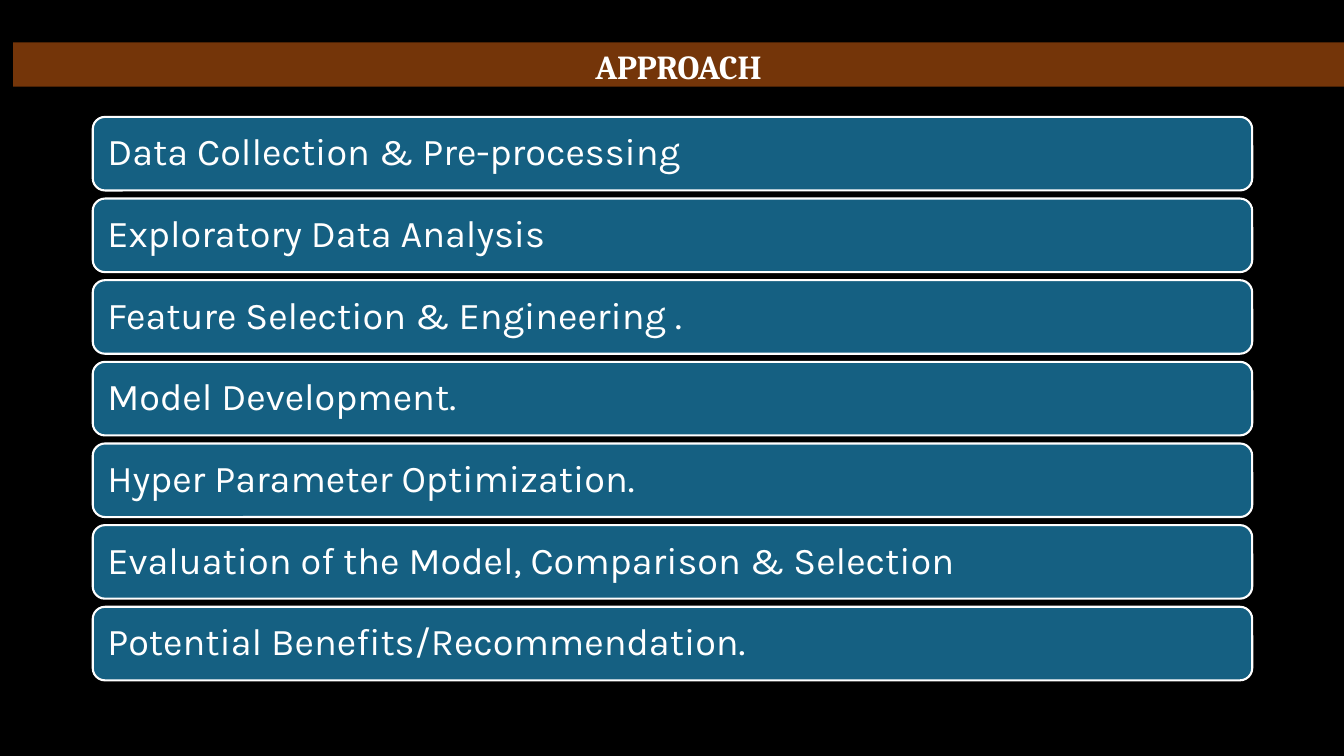
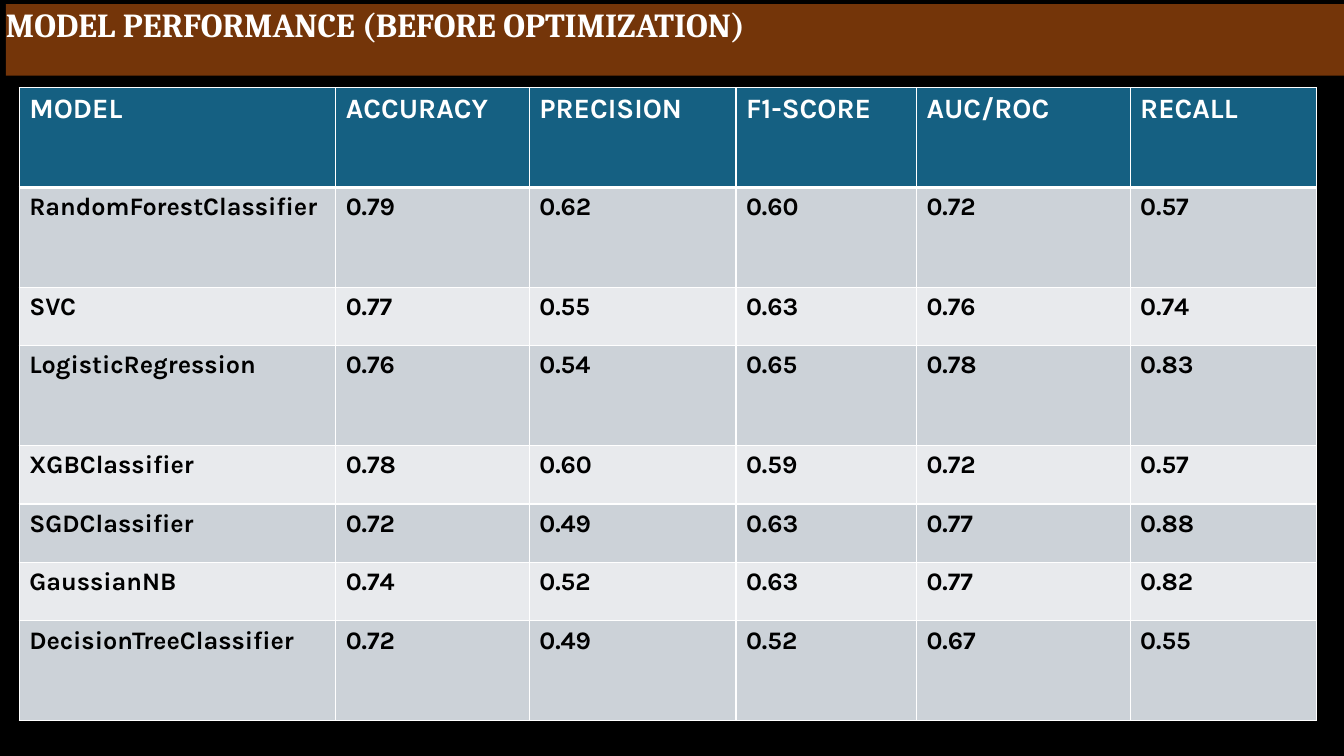
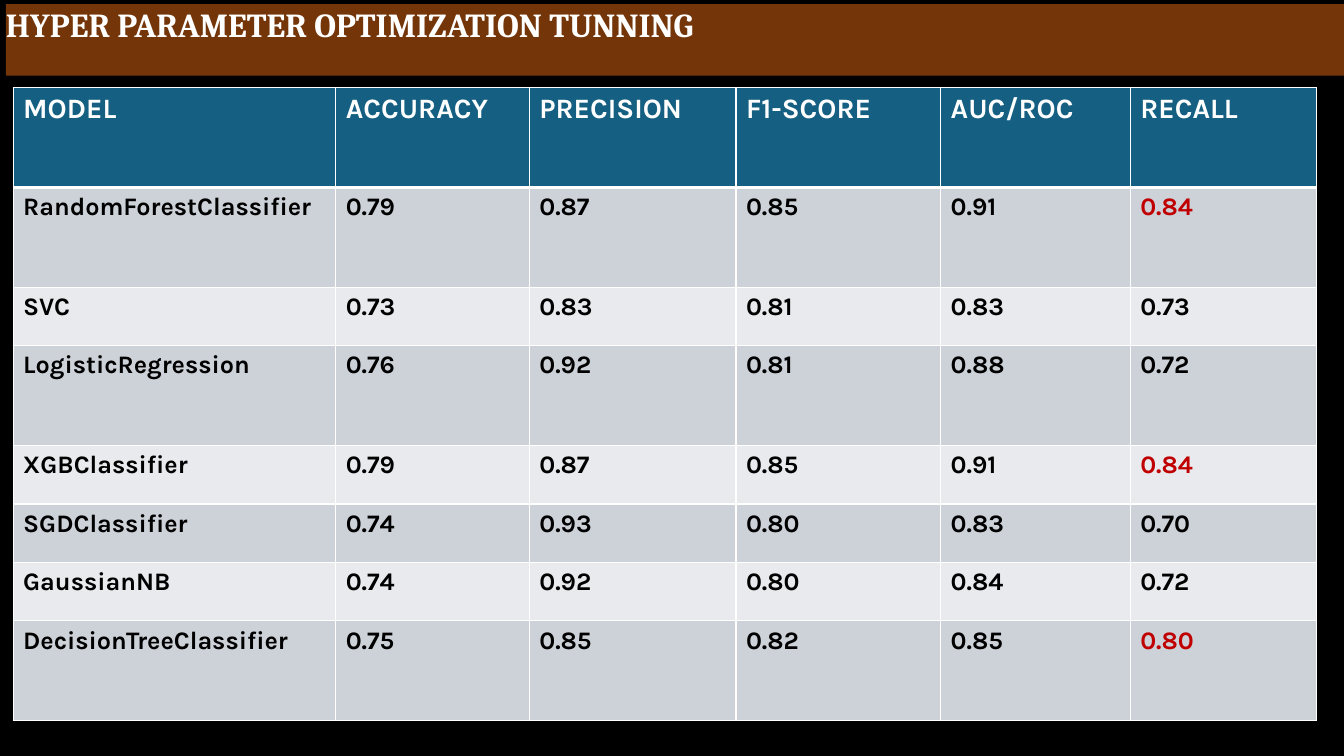
"""Build three slides on a modelling approach and classifier scores."""
from dataclasses import dataclass

from lxml.etree import SubElement
from pptx import Presentation
from pptx.dml.color import RGBColor
from pptx.enum.shapes import MSO_SHAPE
from pptx.enum.text import MSO_ANCHOR, PP_ALIGN
from pptx.oxml.ns import qn
from pptx.util import Emu, Pt

PX_PER_INCH = 100
EMU_PER_PX = 914400 // PX_PER_INCH
COLORS = {
    "background": "000000",
    "band": "743509",
    "panel": "156082",
    "light": "FFFFFF",
    "dark": "000000",
    "row_odd": "CCD2D8",
    "row_even": "E8EAED",
    "highlight": "C00000",
}
TITLE_FONT = "Cambria"
BODY_FONT = "Karla"

STEPS = (
    "Data Collection & Pre-processing",
    "Exploratory Data Analysis",
    "Feature Selection & Engineering .",
    "Model Development.",
    "Hyper Parameter Optimization.",
    "Evaluation of the Model, Comparison & Selection",
    "Potential Benefits/Recommendation.",
)
HEADERS = ("MODEL", "ACCURACY", "PRECISION", "F1-SCORE", "AUC/ROC", "RECALL")
MODELS = (
    "RandomForestClassifier",
    "SVC",
    "LogisticRegression",
    "XGBClassifier",
    "SGDClassifier",
    "GaussianNB",
    "DecisionTreeClassifier",
)
ROW_HEIGHTS = (99, 99, 58, 99, 58, 58, 58, 99)
TABLE_TOP = 87


@dataclass(frozen=True)
class Box:
    left: int
    top: int
    width: int
    height: int

    def emu(self) -> tuple:
        return tuple(px(v) for v in (self.left, self.top, self.width, self.height))


@dataclass(frozen=True)
class TextStyle:
    font: str
    size: int
    color: str
    bold: bool = False


@dataclass(frozen=True)
class ScoreSlide:
    title: str
    left: int
    widths: tuple
    scores: tuple
    recall_target: float | None = None


TITLE = TextStyle(TITLE_FONT, 24, "light", True)
STEP = TextStyle(BODY_FONT, 27, "light")
HEADER = TextStyle(BODY_FONT, 20, "light", True)
CELL = TextStyle(BODY_FONT, 18, "dark", True)
BEST = TextStyle(BODY_FONT, 18, "highlight", True)

APPROACH_BAND = Box(13, 42, 1320, 44)
SCORE_BAND = Box(6, 4, 1327, 71)
FIRST_STEP = Box(92, 116, 1150, 73)
STEP_PITCH = 81

SCORE_SLIDES = (
    ScoreSlide(
        "MODEL PERFORMANCE (BEFORE OPTIMIZATION)",
        19,
        (314, 192, 205, 179, 212, 185),
        (
            ("0.79", "0.62", "0.60", "0.72", "0.57"),
            ("0.77", "0.55", "0.63", "0.76", "0.74"),
            ("0.76", "0.54", "0.65", "0.78", "0.83"),
            ("0.78", "0.60", "0.59", "0.72", "0.57"),
            ("0.72", "0.49", "0.63", "0.77", "0.88"),
            ("0.74", "0.52", "0.63", "0.77", "0.82"),
            ("0.72", "0.49", "0.52", "0.67", "0.55"),
        ),
    ),
    ScoreSlide(
        "HYPER PARAMETER OPTIMIZATION TUNNING",
        13,
        (320, 192, 205, 203, 188, 185),
        (
            ("0.79", "0.87", "0.85", "0.91", "0.84"),
            ("0.73", "0.83", "0.81", "0.83", "0.73"),
            ("0.76", "0.92", "0.81", "0.88", "0.72"),
            ("0.79", "0.87", "0.85", "0.91", "0.84"),
            ("0.74", "0.93", "0.80", "0.83", "0.70"),
            ("0.74", "0.92", "0.80", "0.84", "0.72"),
            ("0.75", "0.85", "0.82", "0.85", "0.80"),
        ),
        0.8,
    ),
)


def px(value: int) -> Emu:
    return Emu(value * EMU_PER_PX)


def rgb(name: str) -> RGBColor:
    return RGBColor.from_string(COLORS[name])


def write(tf, text: str, style: TextStyle):
    p = tf.paragraphs[0]
    p.text = text
    for r in p.runs:
        r.font.name = style.font
        r.font.size = Pt(style.size)
        r.font.bold = style.bold
        r.font.color.rgb = rgb(style.color)
    return p


def set_insets(tf, left: int, top: int, right: int, bottom: int) -> None:
    tf.margin_left, tf.margin_top = px(left), px(top)
    tf.margin_right, tf.margin_bottom = px(right), px(bottom)


def add_panel(slide, kind: MSO_SHAPE, box: Box, fill: str):
    sp = slide.shapes.add_shape(kind, *box.emu())
    sp.shadow.inherit = False
    sp.fill.solid()
    sp.fill.fore_color.rgb = rgb(fill)
    sp.line.fill.background()
    sp.text_frame.word_wrap = True
    return sp


def add_title(slide, text: str, box: Box, align: PP_ALIGN):
    tf = add_panel(slide, MSO_SHAPE.RECTANGLE, box, "band").text_frame
    tf.vertical_anchor = MSO_ANCHOR.TOP
    set_insets(tf, 0, 4, 0, 0)
    p = write(tf, text, TITLE)
    p.alignment = align
    return p


def add_step(slide, text: str, box: Box) -> None:
    sp = add_panel(slide, MSO_SHAPE.ROUNDED_RECTANGLE, box, "panel")
    sp.line.color.rgb = rgb("light")
    sp.line.width = Pt(1.5)
    tf = sp.text_frame
    tf.vertical_anchor = MSO_ANCHOR.MIDDLE
    set_insets(tf, 11, 11, 11, 11)
    p = write(tf, text, STEP)
    p.alignment = PP_ALIGN.LEFT
    p.line_spacing = 0.9


def set_borders(cell, top: int, bottom: int) -> None:
    tc_pr = cell._tc.get_or_add_tcPr()
    for side, width in (("L", 1), ("R", 1), ("T", top), ("B", bottom)):
        ln = SubElement(tc_pr, qn(f"a:ln{side}"), w=str(Pt(width)))
        fill = SubElement(ln, qn("a:solidFill"))
        SubElement(fill, qn("a:srgbClr"), val=COLORS["light"])


def fill_cell(cell, text: str, style: TextStyle, row: int) -> None:
    write(cell.text_frame, text, style)
    set_borders(cell, 3 if row == 1 else 1, 3 if row == 0 else 1)
    cell.fill.solid()
    band = "row_odd" if row % 2 else "row_even"
    cell.fill.fore_color.rgb = rgb(band if row else "panel")


def add_scores(slide, data: ScoreSlide) -> None:
    box = Box(data.left, TABLE_TOP, sum(data.widths), sum(ROW_HEIGHTS))
    table = slide.shapes.add_table(len(ROW_HEIGHTS), len(HEADERS), *box.emu()).table
    for column, width in zip(table.columns, data.widths):
        column.width = px(width)
    for row, height in zip(table.rows, ROW_HEIGHTS):
        row.height = px(height)
    body = [(model, *scores) for model, scores in zip(MODELS, data.scores)]
    recall = len(HEADERS) - 1
    for i, values in enumerate([HEADERS, *body]):
        for j, text in enumerate(values):
            style = CELL if i else HEADER
            if i and j == recall and data.recall_target is not None:
                style = BEST if float(text) >= data.recall_target else CELL
            fill_cell(table.cell(i, j), text, style, i)


def build_approach(slide) -> None:
    for i, text in enumerate(STEPS):
        top = FIRST_STEP.top + i * STEP_PITCH
        add_step(slide, text, Box(FIRST_STEP.left, top, FIRST_STEP.width, FIRST_STEP.height))
    p = add_title(slide, "APPROACH", APPROACH_BAND, PP_ALIGN.CENTER)
    p.space_before = Pt(2.8)
    p.runs[0].font._element.set("spc", "-10")


def build_scores(slide, data: ScoreSlide) -> None:
    p = add_title(slide, data.title, SCORE_BAND, PP_ALIGN.LEFT)
    p.line_spacing = 0.9
    add_scores(slide, data)


def main() -> None:
    prs = Presentation()
    prs.slide_width, prs.slide_height = px(1333), px(750)
    background = prs.slide_master.background.fill
    background.solid()
    background.fore_color.rgb = rgb("background")
    blank = prs.slide_layouts[6]
    build_approach(prs.slides.add_slide(blank))
    for data in SCORE_SLIDES:
        build_scores(prs.slides.add_slide(blank), data)
    prs.save("out.pptx")


if __name__ == "__main__":
    main()
